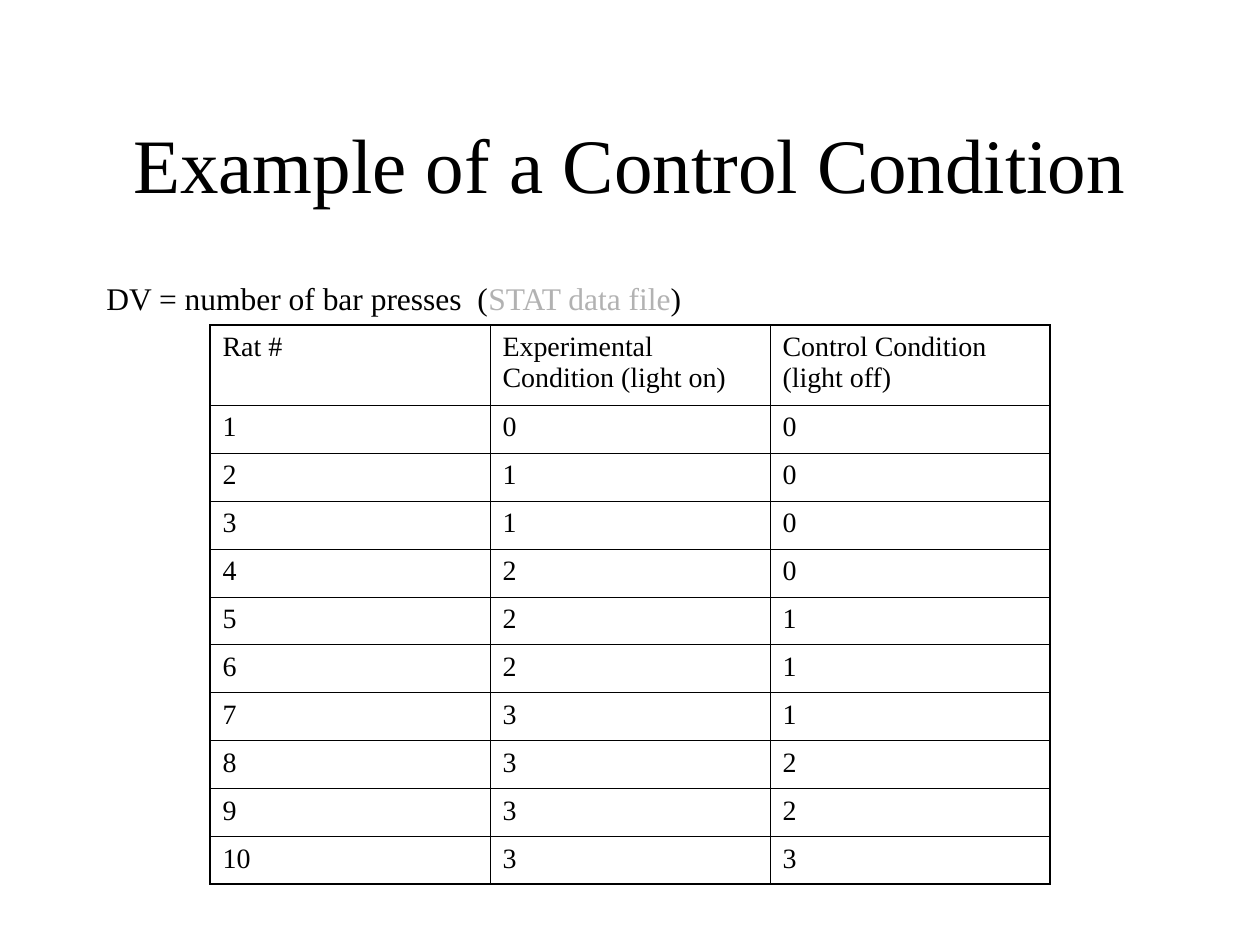
from dataclasses import dataclass
from typing import Any

from lxml.etree import SubElement
from pptx import Presentation
from pptx.dml.color import RGBColor
from pptx.enum.text import MSO_ANCHOR, PP_ALIGN
from pptx.oxml.ns import qn
from pptx.util import Emu, Pt

EMU_PER_PX = 914400 / 126
FONT_NAME = "Times New Roman"
COLORS = {"text": "000000", "link": "B2B2B2", "border": "000000"}
OUTER_BORDER = Pt(1.08)
INNER_BORDER = Pt(0.45)

HEADERS = ("Rat #", "Experimental Condition (light on)", "Control Condition (light off)")
LIGHT_ON = (0, 1, 1, 2, 2, 2, 3, 3, 3, 3)
LIGHT_OFF = (0, 0, 0, 0, 1, 1, 1, 2, 2, 3)
ROWS = [HEADERS, *zip(range(1, 11), LIGHT_ON, LIGHT_OFF)]

TABLE_LEFT, TABLE_TOP = 210, 325
COLUMN_WIDTH = 280
ROW_HEIGHTS = [80] + [48] * 9 + [47]


@dataclass(frozen=True)
class Phrase:
    text: str
    color: str = "text"


@dataclass(frozen=True)
class TextBlock:
    left: int
    top: int
    width: int
    height: int
    size: int
    phrases: tuple[Phrase, ...]
    alignment: PP_ALIGN = PP_ALIGN.LEFT
    anchor: MSO_ANCHOR = MSO_ANCHOR.TOP


BLOCKS = (
    TextBlock(94, 84, 1072, 158, 44, (Phrase("Example of a Control Condition"),),
              PP_ALIGN.CENTER, MSO_ANCHOR.MIDDLE),
    TextBlock(94, 273, 1072, 567, 18,
              (Phrase("DV = number of bar presses  ("),
               Phrase("STAT data file", "link"),
               Phrase(")"))),
)


def px(length: int) -> Emu:
    return Emu(round(length * EMU_PER_PX))


def apply_format(target: Any, values: dict[str, Any]) -> None:
    for name, value in values.items():
        setattr(target, name, value)


def add_run(paragraph: Any, phrase: Phrase, size: int) -> None:
    run = paragraph.add_run()
    run.text = phrase.text
    apply_format(run.font, {"name": FONT_NAME, "size": Pt(size)})
    run.font.color.rgb = RGBColor.from_string(COLORS[phrase.color])


def draw_text(slide: Any, block: TextBlock) -> None:
    shape = slide.shapes.add_textbox(
        px(block.left), px(block.top), px(block.width), px(block.height))
    apply_format(shape.text_frame, {"word_wrap": True, "vertical_anchor": block.anchor})
    paragraph = shape.text_frame.paragraphs[0]
    paragraph.alignment = block.alignment
    for phrase in block.phrases:
        add_run(paragraph, phrase, block.size)


def set_borders(cell: Any, outer_sides: dict[str, bool]) -> None:
    properties = cell._tc.get_or_add_tcPr()
    for position, (side, is_outer) in enumerate(outer_sides.items()):
        width = OUTER_BORDER if is_outer else INNER_BORDER
        line = SubElement(properties, qn(f"a:ln{side}"), w=str(int(width)))
        fill = SubElement(line, qn("a:solidFill"))
        SubElement(fill, qn("a:srgbClr"), val=COLORS["border"])
        properties.insert(position, line)


def draw_table(slide: Any, rows: list[tuple]) -> None:
    row_count, column_count = len(rows), len(rows[0])
    table = slide.shapes.add_table(
        row_count, column_count, px(TABLE_LEFT), px(TABLE_TOP),
        px(COLUMN_WIDTH * column_count), px(sum(ROW_HEIGHTS))).table
    apply_format(table, {"first_row": False, "horz_banding": False})
    for column in table.columns:
        column.width = px(COLUMN_WIDTH)
    for row_index, (values, height) in enumerate(zip(rows, ROW_HEIGHTS)):
        table.rows[row_index].height = px(height)
        for column_index, value in enumerate(values):
            cell = table.cell(row_index, column_index)
            cell.fill.background()
            add_run(cell.text_frame.paragraphs[0], Phrase(str(value)), 16)
            set_borders(cell, {
                "L": column_index == 0,
                "R": column_index == column_count - 1,
                "T": row_index == 0,
                "B": row_index == row_count - 1,
            })


def main() -> None:
    presentation = Presentation()
    apply_format(presentation, {"slide_width": px(1260), "slide_height": px(945)})
    slide = presentation.slides.add_slide(presentation.slide_layouts[6])
    for block in BLOCKS:
        draw_text(slide, block)
    draw_table(slide, ROWS)
    presentation.save("out.pptx")


if __name__ == "__main__":
    main()
